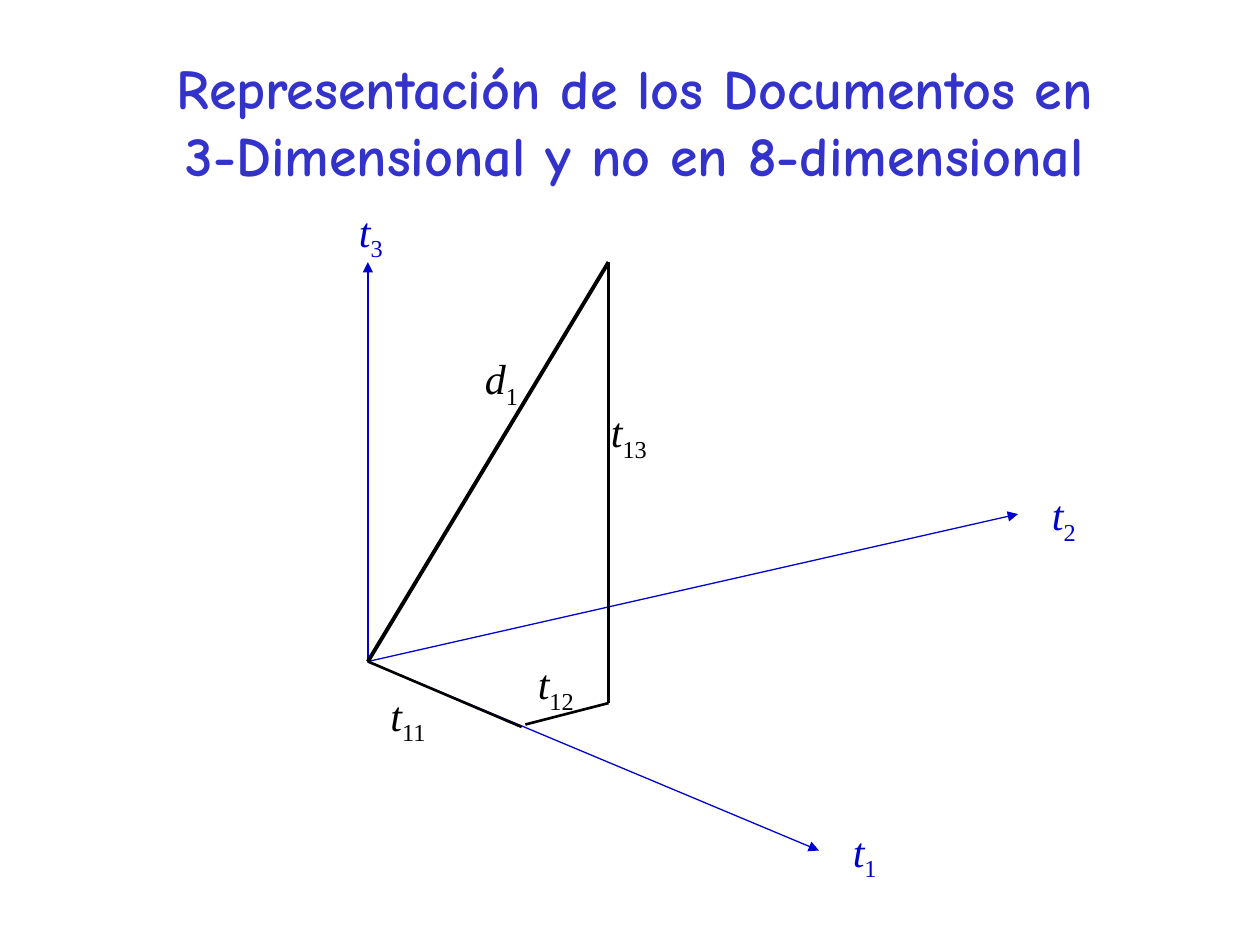
"""Build a slide showing a document vector in a three-term space."""
from dataclasses import dataclass

from pptx import Presentation
from pptx.dml.color import RGBColor
from pptx.enum.shapes import MSO_CONNECTOR
from pptx.enum.text import MSO_ANCHOR, PP_ALIGN
from pptx.oxml.ns import qn
from pptx.util import Inches, Pt
from lxml.etree import SubElement


@dataclass(frozen=True)
class Theme:
    title: RGBColor = RGBColor(0x33, 0x33, 0xCC)
    axis: RGBColor = RGBColor(0x00, 0x00, 0xCC)
    vector: RGBColor = RGBColor(0x00, 0x00, 0x00)
    title_font: str = "Comic Neue"
    label_font: str = "Times New Roman"
    title_size: Pt = Pt(32)
    label_size: Pt = Pt(24)


theme = Theme()
deck = Presentation()
deck.slide_width, deck.slide_height = Inches(10), Inches(7.5)
slide = deck.slides.add_slide(deck.slide_layouts[6])


def add_line(start, end, color, width, arrow=False):
    line = slide.shapes.add_connector(
        MSO_CONNECTOR.STRAIGHT, *(Inches(v) for v in (*start, *end)))
    line.line.color.rgb = color
    line.line.width = Pt(width)
    if arrow:
        SubElement(line.line._get_or_add_ln(), qn("a:tailEnd"), type="triangle")
    SubElement(line._element.spPr, qn("a:effectLst"))


def add_label(letter, index, left, top, width, color):
    box = slide.shapes.add_textbox(
        Inches(left), Inches(top), Inches(width), Inches(0.56))
    box.text_frame.word_wrap = True
    paragraph = box.text_frame.paragraphs[0]
    paragraph.space_before = Pt(15)
    for text in (letter, index):
        run = paragraph.add_run()
        run.text = text
        run.font.name = theme.label_font
        run.font.size = theme.label_size
        run.font.color.rgb = color
        run.font.italic = text == letter
    run.font._element.set("baseline", "-25000")


heading = slide.shapes.add_textbox(
    Inches(0.58), Inches(0.33), Inches(9.08), Inches(1.25))
heading.text_frame.word_wrap = True
heading.text_frame.vertical_anchor = MSO_ANCHOR.MIDDLE
heading_line = heading.text_frame.paragraphs[0]
heading_line.text = (
    "Representación de los Documentos en \v3-Dimensional y no en 8-dimensional ")
heading_line.alignment = PP_ALIGN.CENTER
for run in heading_line.runs:
    run.font.name = theme.title_font
    run.font.size = theme.title_size
    run.font.bold = True
    run.font.color.rgb = theme.title

origin, document_tip, document_foot = (2.92, 5.25), (4.83, 2.08), (4.83, 5.58)

for axis_tip in ((2.92, 2.08), (8.08, 4.08), (6.5, 6.75)):
    add_line(origin, axis_tip, theme.axis, 0.75, arrow=True)

for index, left, top in (("1", 6.67, 6.5), ("2", 8.25, 3.83), ("3", 2.75, 1.58)):
    add_label("t", index, left, top, 0.5, theme.axis)

for start, end, width in (
    (origin, document_tip, 2.25),
    (document_tip, document_foot, 1.5),
    ((4.17, 5.75), document_foot, 1.5),
    (origin, (4.14, 5.77), 1.5),
):
    add_line(start, end, theme.vector, width)

add_label("d", "1", 3.75, 2.75, 0.58, theme.vector)
for index, left, top in (("13", 4.75, 3.17), ("12", 4.17, 5.17), ("11", 3, 5.42)):
    add_label("t", index, left, top, 1.33, theme.vector)

deck.save("out.pptx")
